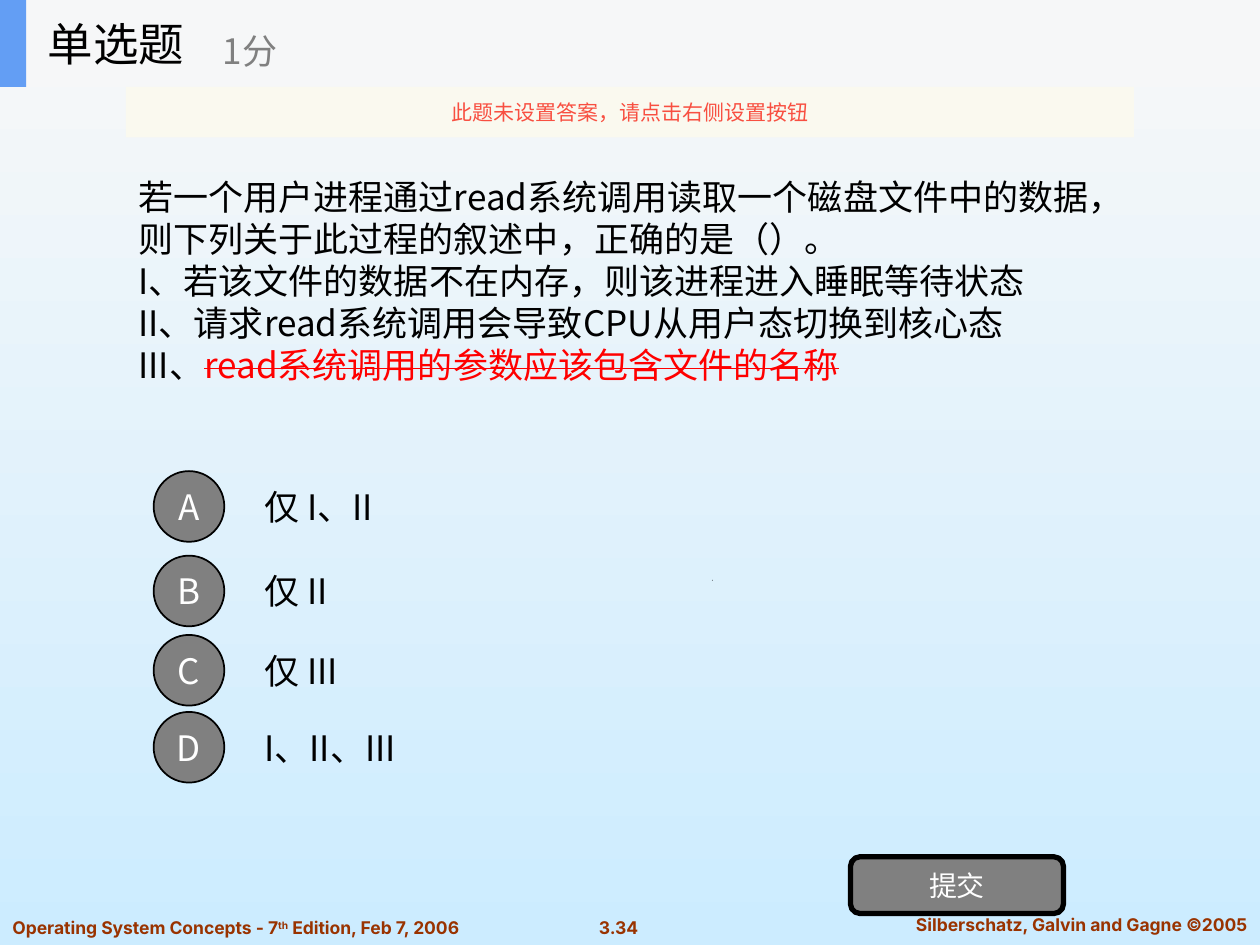
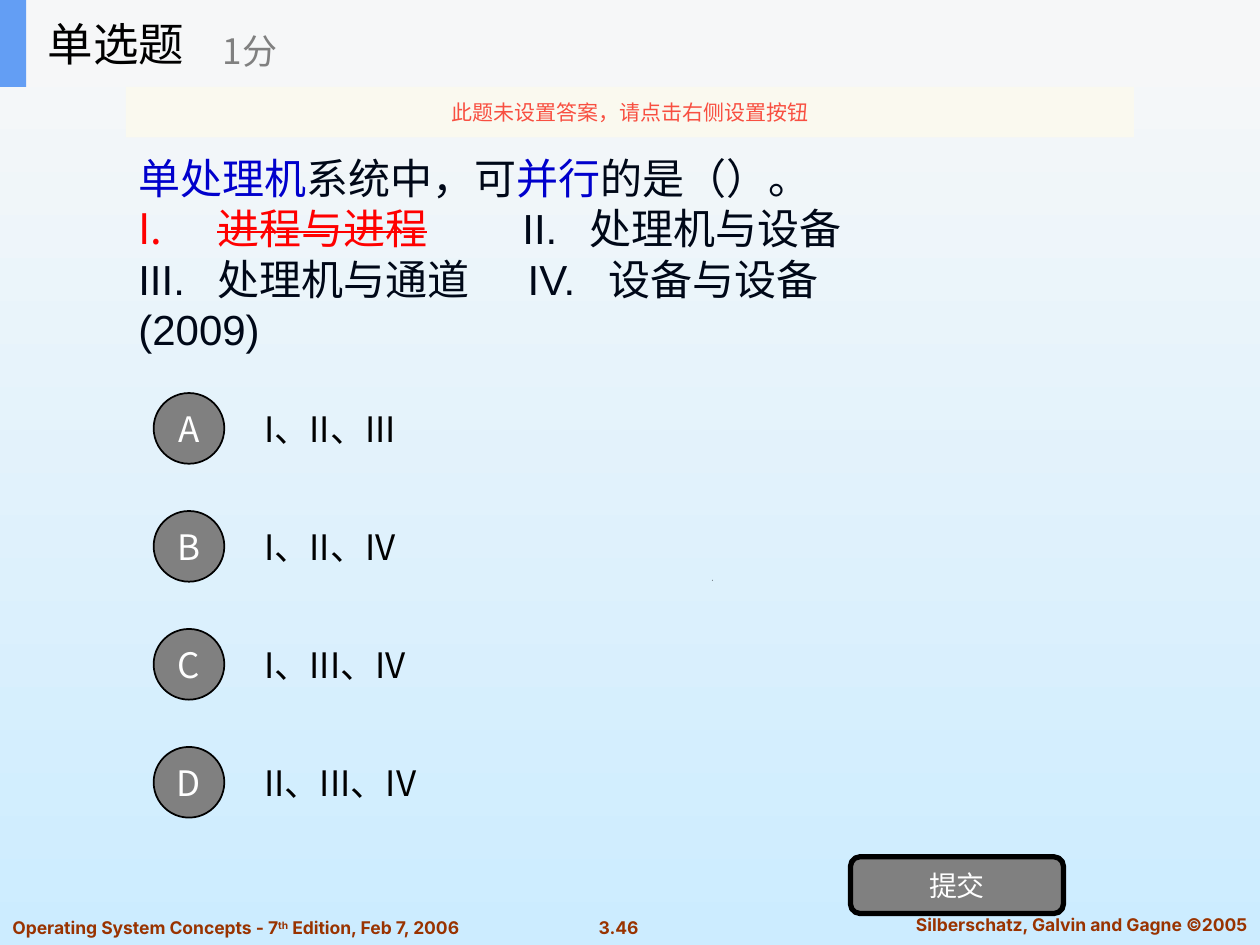
from dataclasses import dataclass

from lxml import etree
from pptx import Presentation
from pptx.dml.color import RGBColor
from pptx.enum.shapes import MSO_SHAPE
from pptx.enum.text import MSO_ANCHOR, PP_ALIGN
from pptx.oxml.ns import qn
from pptx.util import Pt


@dataclass(frozen=True)
class Theme:
    sky_top: str = "F8F8F8"
    sky_bottom: str = "CCECFF"
    band: str = "F6F7F8"
    accent: str = "639EF4"
    notice: str = "FBFAEF"
    notice_text: str = "F84F41"
    grey: str = "808080"
    black: str = "000000"
    white: str = "FFFFFF"
    red: str = "FF0000"
    blue: str = "0000CC"
    navy: str = "000818"
    footer: str = "993300"
    chinese: str = "Noto Sans CJK SC"
    latin: str = "Arial"
    footer_font: str = "Inter"
    title_size: int = 26
    large_size: int = 24
    body_size: int = 20
    button_size: int = 16
    notice_size: int = 12
    footer_size: int = 10
    leading: float = 1.2


THEME = Theme()


@dataclass(frozen=True)
class Style:
    size: int = THEME.body_size
    color: str = THEME.black
    font: str = THEME.chinese
    bold: bool = False
    align: PP_ALIGN = PP_ALIGN.LEFT
    fixed_leading: bool = False


BODY = Style(fixed_leading=True)
LARGE = Style(THEME.large_size, THEME.navy, THEME.latin, fixed_leading=True)
LETTER = Style(color=THEME.white, align=PP_ALIGN.CENTER)
FOOTER = Style(THEME.footer_size, THEME.footer, THEME.footer_font, bold=True)
FOOTER_CENTERED = Style(THEME.footer_size, THEME.footer, THEME.footer_font,
                        bold=True, align=PP_ALIGN.CENTER)


@dataclass(frozen=True)
class Span:
    text: str
    color: str = ""
    strike: bool = False
    raised: bool = False


@dataclass(frozen=True)
class Line:
    spans: tuple
    tabs: tuple = ()
    numbered_indent: float = 0


def rgb(color):
    return RGBColor.from_string(color)


def format_span(span, style, part):
    span.font.size = Pt(style.size)
    span.font.bold = style.bold
    span.font.color.rgb = rgb(part.color or style.color)
    span.font.name = style.font
    properties = span._r.get_or_add_rPr()
    etree.SubElement(properties, qn("a:ea"), typeface=THEME.chinese)
    if part.strike:
        properties.set("strike", "sngStrike")
    if part.raised:
        properties.set("baseline", "30000")


def write_line(para, line, style):
    para.alignment = style.align
    if style.fixed_leading:
        para.line_spacing = Pt(style.size * THEME.leading)
    properties = para._p.get_or_add_pPr()
    if line.numbered_indent:
        indent = Pt(line.numbered_indent)
        properties.set("marL", str(indent))
        properties.set("indent", str(-indent))
        etree.SubElement(properties, qn("a:buFont"), typeface=style.font)
        etree.SubElement(properties, qn("a:buAutoNum"), type="romanUcPeriod")
    if line.tabs:
        stops = etree.SubElement(properties, qn("a:tabLst"))
        for stop in line.tabs:
            etree.SubElement(stops, qn("a:tab"), pos=str(Pt(stop)), algn="l")
    for part in line.spans:
        span = para.add_run()
        span.text = part.text
        format_span(span, style, part)


def write_lines(shape, lines, style):
    frame = shape.text_frame
    frame.word_wrap = True
    frame.vertical_anchor = MSO_ANCHOR.MIDDLE
    for index, line in enumerate(lines):
        para = frame.add_paragraph() if index else frame.paragraphs[0]
        write_line(para, line, style)


def plain(text):
    return [Line((Span(text),))]


def add_text(shapes, place, lines, style):
    box = shapes.add_textbox(*map(Pt, place))
    write_lines(box, lines, style)
    return box


def add_block(shapes, kind, place, fill, outline=0):
    block = shapes.add_shape(kind, *map(Pt, place))
    block.shadow.inherit = False
    block.fill.solid()
    block.fill.fore_color.rgb = rgb(fill)
    if outline:
        block.line.color.rgb = rgb(THEME.black)
        block.line.width = Pt(outline)
    else:
        block.line.fill.background()
    return block


def add_header(page):
    group = page.shapes.add_group_shape().shapes
    add_block(group, MSO_SHAPE.RECTANGLE, (0, 0, 720, 49.7), THEME.band)
    add_block(group, MSO_SHAPE.RECTANGLE, (0, 0, 15, 49.7), THEME.accent)
    add_text(group, (20.2, 0, 150, 49.7), plain("单选题"), Style(THEME.title_size))
    add_text(group, (120.2, 8.6, 180, 40.3), plain("1分"), Style(color=THEME.grey))


def add_notice(page):
    notice = add_block(page.shapes, MSO_SHAPE.RECTANGLE, (72, 49.7, 576, 28.8), THEME.notice)
    color = notice.fill._xPr.find(qn("a:solidFill"))[0]
    etree.SubElement(color, qn("a:alpha"), val="90000")
    write_lines(notice, plain("此题未设置答案，请点击右侧设置按钮"),
                Style(THEME.notice_size, THEME.notice_text, align=PP_ALIGN.CENTER))


def add_footer(page, number):
    edition = [Line((Span("Operating System Concepts - 7"), Span("th", raised=True),
                     Span(" Edition, Feb 7, 2006")))]
    add_text(page.shapes, (0, 520.6, 294.5, 19.4), edition, FOOTER)
    add_text(page.shapes, (330.5, 520.6, 46, 19.4), plain(number), FOOTER_CENTERED)
    add_text(page.shapes, (511.2, 518.4, 213.8, 19.4),
             plain("Silberschatz, Galvin and Gagne ©2005"), FOOTER_CENTERED)


def add_speck(page):
    outline = page.shapes.build_freeform(Pt(406.8), Pt(331.8))
    outline.add_line_segments([(Pt(407.4), Pt(331.2)), (Pt(407.2), Pt(331.8))])
    speck = outline.convert_to_shape()
    speck.shadow.inherit = False
    speck.fill.solid()
    speck.fill.fore_color.rgb = rgb(THEME.black)
    speck.line.fill.background()


def add_options(page, answers, tops, width):
    for letter, answer, top in zip("ABCD", answers, tops):
        add_text(page.shapes, (144, top, width, 50.4), plain(answer), BODY)
        circle = add_block(page.shapes, MSO_SHAPE.OVAL, (87.8, top + 5, 40.4, 40.4),
                           THEME.grey, 1)
        frame = circle.text_frame
        frame.margin_left = frame.margin_right = frame.margin_top = frame.margin_bottom = 0
        write_lines(circle, plain(letter), LETTER)


def add_submit_button(page):
    button = add_block(page.shapes, MSO_SHAPE.ROUNDED_RECTANGLE, (486, 489.6, 121.7, 32.4),
                       THEME.grey, 3)
    write_lines(button, plain("提交"),
                Style(THEME.button_size, THEME.white, align=PP_ALIGN.CENTER))


def add_question_page(deck, number, place, question, style, answers, tops, width):
    page = deck.slides.add_slide(deck.slide_layouts[6])
    add_footer(page, number)
    add_speck(page)
    add_text(page.shapes, place, question, style)
    add_options(page, answers, tops, width)
    add_submit_button(page)
    add_header(page)
    add_notice(page)


def paint_background(deck):
    fill = deck.slide_master.background.fill
    fill.gradient()
    fill.gradient_angle = 270
    for stop, color in zip(fill.gradient_stops, (THEME.sky_top, THEME.sky_bottom)):
        stop.color.rgb = rgb(color)


def main():
    deck = Presentation()
    deck.slide_width, deck.slide_height = Pt(720), Pt(540)
    paint_background(deck)

    disk_read = [
        *plain("若一个用户进程通过read系统调用读取一个磁盘文件中的数据，则下列关于此过程的叙述中，正确的是（）。"),
        *plain("I、若该文件的数据不在内存，则该进程进入睡眠等待状态"),
        *plain("II、请求read系统调用会导致CPU从用户态切换到核心态"),
        Line((Span("III、"),
              Span("read系统调用的参数应该包含文件的名称", THEME.red, strike=True))),
    ]
    add_question_page(deck, "3.34", (72, 76.3, 576, 168.5), disk_read, BODY,
                      ("仅 I、II", "仅 II", "仅 III", "I、II、III"),
                      (264.2, 312.5, 357.8, 401.8), 504)

    parallel = [
        Line((Span("单处理机", THEME.blue), Span("系统中，可"),
              Span("并行", THEME.blue), Span("的是（）。"))),
        Line((Span("进程与进程", THEME.red, strike=True), Span("\tII.\t处理机与设备")),
             tabs=(219.5, 258), numbered_indent=45),
        Line((Span("III.\t处理机与通道\tIV.\t设备与设备"),), tabs=(45, 222.5, 268.5)),
        *plain("(2009)"),
    ]
    add_question_page(deck, "3.46", (72, 74.2, 596, 141), parallel, LARGE,
                      ("I、II、III", "I、II、IV", "I、III、IV", "II、III、IV"),
                      [219.6 + 67.4 * row for row in range(4)], 110.2)
    deck.save("out.pptx")


main()
